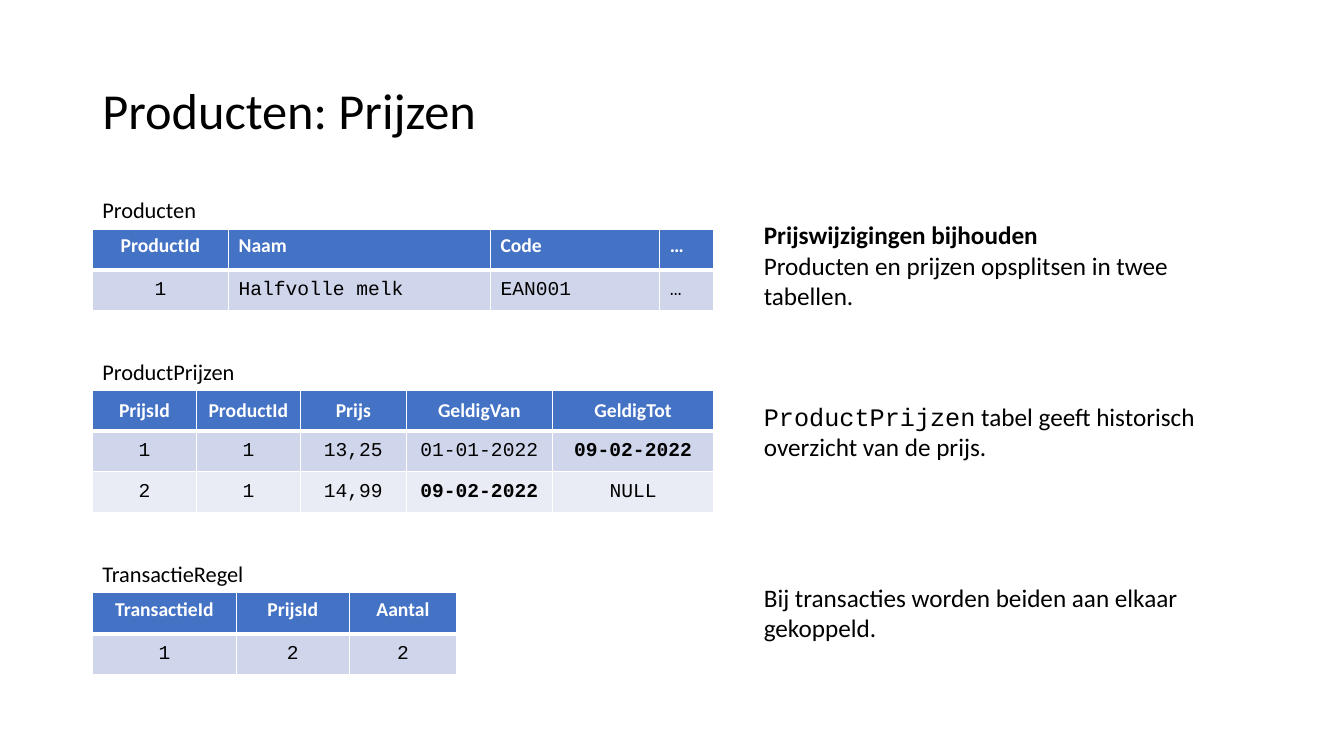
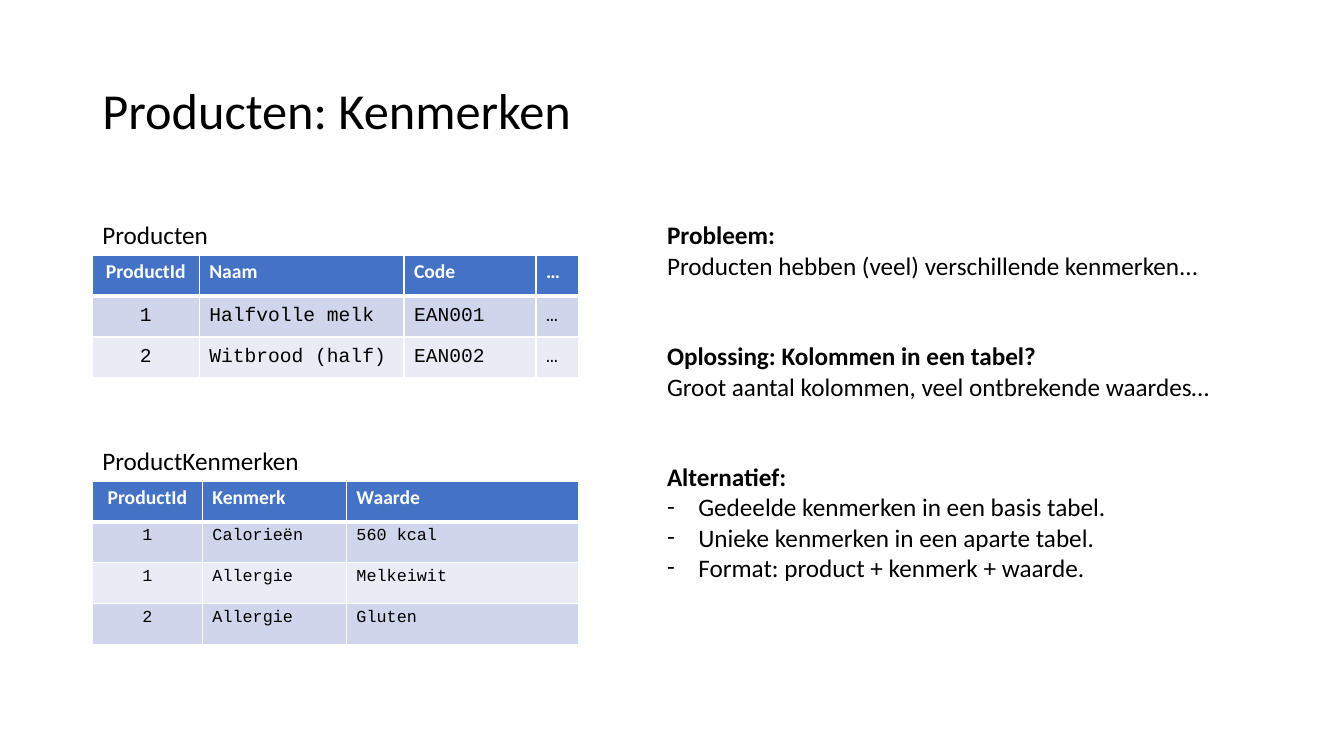
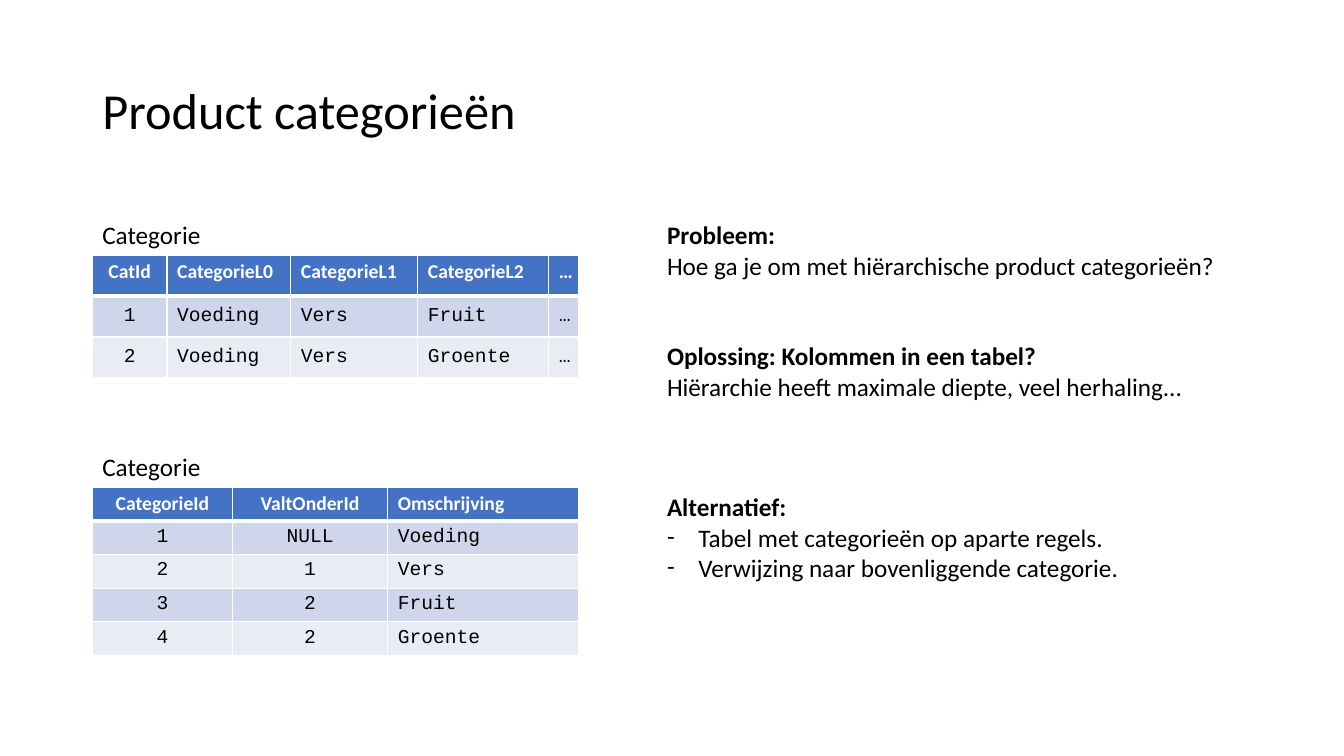
from dataclasses import dataclass

from lxml import etree
from pptx import Presentation
from pptx.dml.color import RGBColor
from pptx.enum.text import MSO_ANCHOR, PP_ALIGN
from pptx.oxml.ns import qn
from pptx.util import Cm, Pt

TOP, MID = MSO_ANCHOR.TOP, MSO_ANCHOR.MIDDLE
ALIGN = {"l": PP_ALIGN.LEFT, "c": PP_ALIGN.CENTER}
BLACK = RGBColor(0x00, 0x00, 0x00)
WHITE = RGBColor(0xFF, 0xFF, 0xFF)
BLUE = RGBColor(0x44, 0x72, 0xC4)
BANDS = (RGBColor(0xCF, 0xD5, 0xEA), RGBColor(0xE9, 0xEB, 0xF5))
SANS, MONO = "Calibri", "Courier New"
LEFT = 2.33
TITLE = (LEFT, 1.01, 29.21, 3.68)
NOTES = (16.56, 5.41, 14.78, 9.5)
LINE = 21.6
INDENT = Cm(0.79)


@dataclass
class Grid:
    """A captioned table: its text, column widths and format."""
    label: str
    span: float
    top: float
    cols: tuple
    align: str
    rows: tuple
    high: float = 1.03
    size: int = 14
    head: object = TOP
    body: object = MID
    bold: str = ""


@dataclass
class Note:
    """A paragraph of notes, with the number of free lines above it."""
    text: str
    gap: int = 0
    bold: bool = False
    dash: bool = False
    code: str = ""


def put(para, text, size=18, font=SANS, color=BLACK, bold=False):
    """Add a formatted run to a paragraph."""
    run = para.add_run()
    run.text = text
    run.font.size = Pt(size)
    run.font.name = font
    run.font.color.rgb = color
    run.font.bold = bold


def frame(slide, box, wrap=True, anchor=TOP):
    """Add a text box and return its text frame."""
    area = slide.shapes.add_textbox(*map(Cm, box)).text_frame
    area.word_wrap = wrap
    area.vertical_anchor = anchor
    return area


def title(slide, text, box=TITLE):
    """Place the slide title."""
    para = frame(slide, box, anchor=MID).paragraphs[0]
    para.line_spacing = 0.9
    put(para, text, size=36)


def edge(cell, above, below):
    """Draw white cell borders, with the given top and bottom widths."""
    props = cell._tc.get_or_add_tcPr()
    for side, width in zip("LRTB", (1, 1, above, below)):
        line = etree.SubElement(props, qn(f"a:ln{side}"), w=str(Pt(width)))
        fill = etree.SubElement(line, qn("a:solidFill"))
        etree.SubElement(fill, qn("a:srgbClr"), val=str(WHITE))


def table(slide, grid, size, left=LEFT):
    """Place a table with its caption directly above it."""
    tall = 0.94 if size == 16 else 1.02
    label = frame(slide, (left, grid.top - tall, grid.span, tall), wrap=False)
    put(label.paragraphs[0], grid.label, size=size)
    count = len(grid.rows)
    box = (left, grid.top, sum(grid.cols), grid.high * count)
    tab = slide.shapes.add_table(count, len(grid.cols), *map(Cm, box)).table
    for col, width in zip(tab.columns, grid.cols):
        col.width = Cm(width)
    for r, row in enumerate(grid.rows):
        tab.rows[r].height = Cm(grid.high)
        for c, text in enumerate(row):
            cell = tab.cell(r, c)
            edge(cell, 3 if r == 1 else 1, 1 if r else 3)
            cell.fill.solid()
            cell.fill.fore_color.rgb = BANDS[(r - 1) % 2] if r else BLUE
            cell.vertical_anchor = grid.body if r else grid.head
            para = cell.text_frame.paragraphs[0]
            para.alignment = ALIGN[grid.align[c]]
            if r:
                put(para, text, size=grid.size, font=MONO, bold=text == grid.bold)
            else:
                put(para, text, size=14, color=WHITE, bold=True)


def dash(para):
    """Give a paragraph a hanging dash."""
    props = para._p.get_or_add_pPr()
    props.set("marL", str(INDENT))
    props.set("indent", str(-INDENT))
    etree.SubElement(props, qn("a:buFont"), typeface=SANS)
    etree.SubElement(props, qn("a:buChar"), char="-")


def notes(slide, items, box):
    """Place the explanation beside the tables."""
    area = frame(slide, box)
    for i, item in enumerate(items):
        para = area.add_paragraph() if i else area.paragraphs[0]
        para.space_before = Pt(LINE * item.gap)
        if item.dash:
            dash(para)
        if item.code:
            put(para, item.code, font=MONO)
        put(para, item.text, bold=item.bold)


def page(deck, name, grids, items, box=NOTES, size=18):
    """Build a slide with tables on the left and notes on the right."""
    slide = deck.slides.add_slide(deck.slide_layouts[6])
    title(slide, name)
    for grid in grids:
        table(slide, grid, size)
    notes(slide, items, box)


def prices(deck):
    """Build the slide on prices."""
    grids = (
        Grid("Producten", 2.9, 5.77, (3.43, 6.6, 4.27, 1.35), "clll", (
            ("ProductId", "Naam", "Code", "…"),
            ("1", "Halfvolle melk", "EAN001", "…"))),
        Grid("ProductPrijzen", 3.89, 9.83, (2.62, 2.62, 2.67, 3.68, 4.07), "ccccc", (
            ("PrijsId", "ProductId", "Prijs", "GeldigVan", "GeldigTot"),
            ("1", "1", "13,25", "01-01-2022", "09-02-2022"),
            ("2", "1", "14,99", "09-02-2022", "NULL")),
            head=MID, bold="09-02-2022"),
        Grid("TransactieRegel", 4.11, 14.94, (3.63, 2.84, 2.71), "ccc", (
            ("TransactieId", "PrijsId", "Aantal"),
            ("1", "2", "2"))),
    )
    items = (
        Note("Prijswijzigingen bijhouden", bold=True),
        Note("Producten en prijzen opsplitsen in twee tabellen."),
        Note(" tabel geeft historisch overzicht van de prijs.", gap=3,
             code="ProductPrijzen"),
        Note("Bij transacties worden beiden aan elkaar gekoppeld.", gap=4),
    )
    page(deck, "Producten: Prijzen", grids, items, (19, 5.41, 12.34, 11.02), 16)


def traits(deck):
    """Build the slide on product traits."""
    grids = (
        Grid("Producten", 3.2, 6.43, (2.69, 5.16, 3.33, 1.07), "clll", (
            ("ProductId", "Naam", "Code", "…"),
            ("1", "Halfvolle melk", "EAN001", "…"),
            ("2", "Witbrood (half)", "EAN002", "…"))),
        Grid("ProductKenmerken", 5.51, 12.12, (2.77, 3.63, 5.84), "cll", (
            ("ProductId", "Kenmerk", "Waarde"),
            ("1", "Calorieën", "560 kcal"),
            ("1", "Allergie", "Melkeiwit"),
            ("2", "Allergie", "Gluten")), size=12, body=TOP),
    )
    items = (
        Note("Probleem:", bold=True),
        Note("Producten hebben (veel) verschillende kenmerken..."),
        Note("Oplossing: Kolommen in een tabel?", gap=2, bold=True),
        Note("Groot aantal kolommen, veel ontbrekende waardes…"),
        Note("Alternatief:", gap=2, bold=True),
        Note("Gedeelde kenmerken in een basis tabel.", dash=True),
        Note("Unieke kenmerken in een aparte tabel.", dash=True),
        Note("Format: product + kenmerk + waarde.", dash=True),
    )
    page(deck, "Producten: Kenmerken", grids, items)


def groups(deck):
    """Build the slide on product categories."""
    grids = (
        Grid("Categorie", 3.02, 6.43, (1.88, 3.12, 3.2, 3.3, 0.74), "cllll", (
            ("CatId", "CategorieL0", "CategorieL1", "CategorieL2", "…"),
            ("1", "Voeding", "Vers", "Fruit", "…"),
            ("2", "Voeding", "Vers", "Groente", "…"))),
        Grid("Categorie", 3.02, 12.27, (3.53, 3.91, 4.8), "ccl", (
            ("CategorieId", "ValtOnderId", "Omschrijving"),
            ("1", "NULL", "Voeding"),
            ("2", "1", "Vers"),
            ("3", "2", "Fruit"),
            ("4", "2", "Groente")), high=0.85, body=TOP),
    )
    items = (
        Note("Probleem:", bold=True),
        Note("Hoe ga je om met hiërarchische product categorieën?"),
        Note("Oplossing: Kolommen in een tabel?", gap=2, bold=True),
        Note("Hiërarchie heeft maximale diepte, veel herhaling..."),
        Note("Alternatief:", gap=3, bold=True),
        Note("Tabel met categorieën op aparte regels.", dash=True),
        Note("Verwijzing naar bovenliggende categorie.", dash=True),
    )
    page(deck, "Product categorieën", grids, items)


def main():
    """Build and save the deck."""
    deck = Presentation()
    deck.slide_width, deck.slide_height = Cm(33.87), Cm(19.05)
    prices(deck)
    traits(deck)
    groups(deck)
    deck.save("out.pptx")


if __name__ == "__main__":
    main()
